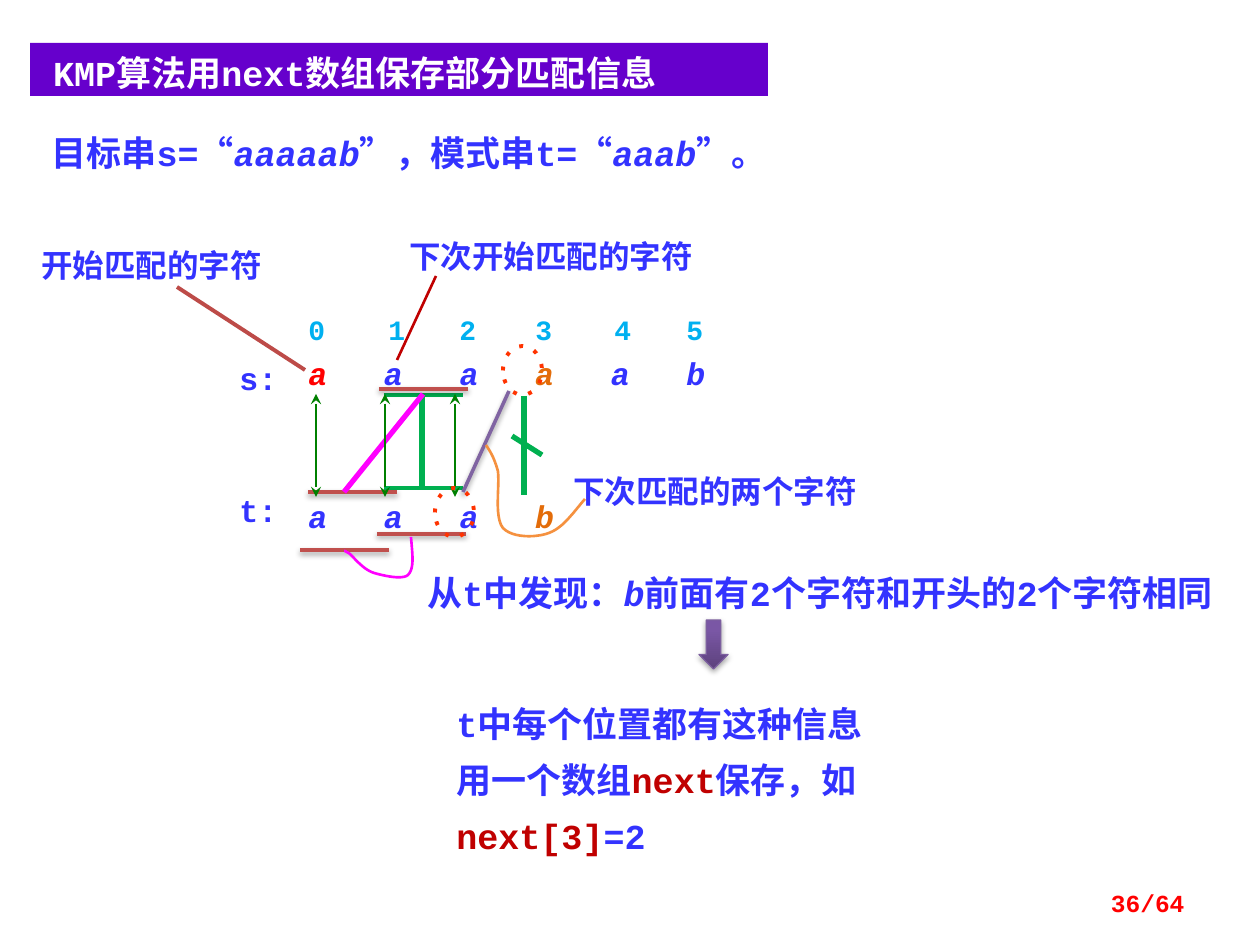
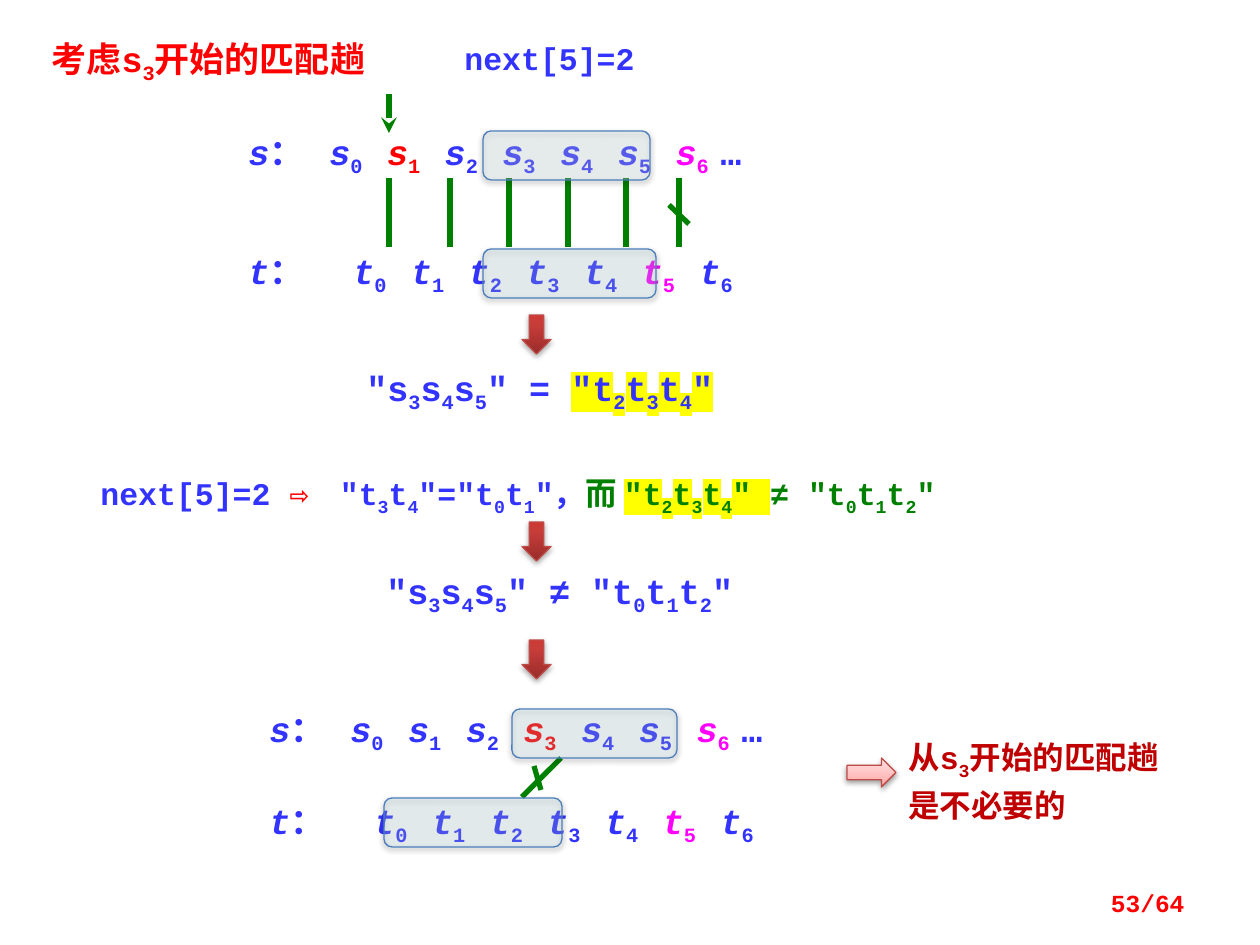
from lxml.etree import SubElement
from pptx import Presentation
from pptx.dml.color import RGBColor
from pptx.enum.shapes import MSO_CONNECTOR, MSO_SHAPE
from pptx.enum.text import MSO_ANCHOR, PP_ALIGN
from pptx.oxml.ns import qn
from pptx.util import Pt

PX = 914400 / 126
MONO, CJK = "Courier New", "Noto Sans CJK SC"
C = dict(blue="3333FF", red="FF0000", dark="C00000", green="008000", lime="00B050",
         magenta="FF00FF", orange="E36C09", curve="F5913F", sky="00B0F0", white="FFFFFF",
         band="6600CC", brick="C0504D", rust="BD4B48", violet="8064A2", plum="7C5F9F",
         dots="FF3300", edge="4A7DBA", ice="DAEEF3", aqua="B6DDE7", yellow="FFFF00")
I = {"italic": True}
QUOTE = {"name": CJK}
STEALTH = {"type": "stealth"}
PURPLES = [(0, "5D427D"), (80, "7A57A5"), (100, "7A56A7")]
REDS = [(0, "992D2B"), (80, "C93D39"), (100, "CD3A36")]
PINKS = [(0, "FFA09D"), (35, "FFBCBC"), (100, "FFE2E2")]


def text(s, box, paragraphs, size=20, lead=1.22, tabs=(), font=MONO, align=PP_ALIGN.LEFT, band=None):
    """Add text at box (px); a run is (text, colour, format), and "_" lowers the next character."""
    box = [round(v * PX) for v in box]
    if band:
        sp = s.shapes.add_shape(MSO_SHAPE.RECTANGLE, *box)
        sp.shadow.inherit = False
        sp.fill.solid()
        sp.fill.fore_color.rgb = RGBColor.from_string(C[band])
        sp.line.fill.background()
    else:
        sp = s.shapes.add_textbox(*box)
    tf = sp.text_frame
    tf.word_wrap = True
    tf.vertical_anchor = MSO_ANCHOR.TOP
    if band:
        tf.margin_left = tf.margin_right = round(23 * PX)
        tf.margin_top = round(8 * PX)
    for n, runs in enumerate(paragraphs):
        p = tf.add_paragraph() if n else tf.paragraphs[0]
        if tabs:
            tab_list = SubElement(p._p.get_or_add_pPr(), qn("a:tabLst"))
            for x in tabs:
                SubElement(tab_list, qn("a:tab"), pos=str(round(x * PX)), algn="l")
        p.alignment = align
        p.line_spacing = Pt(round(size * lead, 1))
        for words, color, *fmt in runs:
            fmt = dict(fmt[0]) if fmt else {}
            mark = fmt.pop("mark", None)
            first, *rest = words.split("_")
            pieces = [(first, False)]
            for part in rest:
                pieces += [(part[0], True), (part[1:], False)]
            for piece, lowered in pieces:
                if not piece:
                    continue
                r = p.add_run()
                r.text = piece
                rPr = r._r.get_or_add_rPr()
                r.font.color.rgb = RGBColor.from_string(C[color])
                if mark:
                    SubElement(SubElement(rPr, qn("a:highlight")), qn("a:srgbClr"), val=C[mark])
                values = {"size": Pt(size), "bold": True, "name": font, **fmt}
                if lowered:
                    rPr.set("baseline", "-25000")
                    values["italic"] = False
                for key, value in values.items():
                    setattr(r.font, key, value)
                SubElement(rPr, qn("a:ea"), typeface=CJK)


def style(sp, color, width, fill=None, alpha=None, shadow=0, **line_parts):
    """Style a shape or line; fill is a colour name or gradient stops, shadow an opacity in percent."""
    spPr = sp._element.spPr
    if isinstance(fill, list):
        sp.fill.gradient()
        sp.fill.gradient_angle = 90
        stops = spPr.find(qn("a:gradFill")).find(qn("a:gsLst"))
        for gs in list(stops):
            stops.remove(gs)
        for pos, value in fill:
            gs = SubElement(stops, qn("a:gs"), pos=str(pos * 1000))
            SubElement(gs, qn("a:srgbClr"), val=value)
    elif fill:
        sp.fill.solid()
        sp.fill.fore_color.rgb = RGBColor.from_string(C[fill])
        clr = spPr.find(qn("a:solidFill"))[0]
        SubElement(clr, qn("a:alpha"), val=str(alpha * 1000))
    elif hasattr(sp, "fill"):
        sp.fill.background()
    sp.line.color.rgb = RGBColor.from_string(C[color])
    sp.line.width = Pt(width)
    for tag, attrs in line_parts.items():
        SubElement(spPr.find(qn("a:ln")), qn("a:" + tag), **attrs)
    effects = SubElement(spPr, qn("a:effectLst"))
    if shadow:
        cast = SubElement(effects, qn("a:outerShdw"), blurRad="40000", dist="20000",
                          dir="5400000", rotWithShape="0")
        clr = SubElement(cast, qn("a:srgbClr"), val="000000")
        SubElement(clr, qn("a:alpha"), val=str(shadow * 1000))


prs = Presentation()
prs.slide_width, prs.slide_height = round(1260 * PX), round(945 * PX)
match, skip = [prs.slides.add_slide(prs.slide_layouts[6]) for _ in range(2)]
for s, number in ((match, "36/64"), (skip, "53/64")):
    text(s, (903, 881, 294, 50), [[(number, "red")]], 14, align=PP_ALIGN.RIGHT)

# Slide 1: partial match kept in next
text(match, (30, 43, 738, 53), [[("KMP算法用next数组保存部分匹配信息", "white")]], band="band")
text(match, (39, 125, 718, 100), [[
    ("目标串s=", "blue"), ("“", "blue", QUOTE), ("aaaaab", "blue", I), ("”", "blue", QUOTE),
    ("，模式串t=", "blue"), ("“", "blue", QUOTE), ("aaab", "blue", I), ("”", "blue", QUOTE),
    ("。", "blue")]])
for x, y, w, label, font in ((29, 239, 295, "开始匹配的字符", CJK),
                             (397, 230, 354, "下次开始匹配的字符", CJK),
                             (561, 465, 354, "下次匹配的两个字符", "Arial")):
    text(match, (x, y, w, 50), [[(label, "blue")]], 18, font=font)

text(match, (296, 306, 452, 50), [[("\t".join("012345"), "sky")]], 16, tabs=(80, 151, 227, 306, 378))
columns = [75.6 * k for k in range(1, 6)]
for name, y_name, y, letters in (
        ("s:", 352, 347, [("a", "red", I), ("\ta\ta\t", "blue", I), ("a", "orange", I), ("\ta\tb", "blue", I)]),
        ("t:", 484, 490, [("a\ta\ta\t", "blue", I), ("b", "orange", I)])):
    text(match, (227, y_name, 69, 50), [[(name, "blue")]], 18)
    text(match, (296, y, 452, 50), [letters], 18, tabs=columns)

text(match, (415, 565, 816, 100), [[
    ("从t中发现：", "blue"), ("b", "blue", I), ("前面有2个字符和开头的2个字符相同", "blue")]])
text(match, (444, 682, 601, 190), [
    [("t中每个位置都有这种信息", "blue")],
    [("用一个数组", "blue"), ("next", "dark"), ("保存，如", "blue"),
     ("next[3]", "dark"), ("=2", "blue")]], lead=1.6)

both_ends = {"headEnd": STEALTH, "tailEnd": STEALTH}
cast = {"shadow": 38}
match_lines = [
    (384, 488, 463, 488, "lime", 2.25, {}), (384, 395, 463, 395, "lime", 2.25, {}),
    (422, 397, 422, 487, "lime", 3, {}),
    (308, 492, 397, 492, "brick", 2, cast), (379, 389, 468, 389, "brick", 2, cast),
    (423, 394, 344, 492, "magenta", 3, {}),
    (377, 534, 466, 534, "brick", 2, cast), (300, 550, 389, 550, "brick", 2, cast),
    (524, 396, 524, 495, "lime", 3, {}), (512, 436, 542, 455, "lime", 3, {}),
    (509, 391, 463, 492, "violet", 2, cast),
    (177, 287, 305, 370, "rust", 2.25, {}), (436, 276, 397, 360, "dark", 1.5, {}),
    *[(x, 394, x, 497, "green", 1.5, both_ends) for x in (316, 385, 455)]]

# Slide 2: a pass that can be skipped
text(skip, (39, 36, 374, 55), [[("考虑s_3开始的匹配趟", "red")]])
text(skip, (452, 32, 207, 50), [[("next[5]=2", "blue")]], 18)
for letter, x, y, start, colors in (("s", 236, 129, 81, {1: "red", 6: "magenta"}),
                                    ("t", 236, 248, 105, {5: "magenta"}),
                                    ("s", 257, 706, 81, {3: "red", 6: "magenta"}),
                                    ("t", 257, 798, 105, {5: "magenta"})):
    runs = [(letter, "blue", I), ("：", "blue")]
    runs += [(f"\t{letter}_{k}", colors.get(k, "blue"), I) for k in range(7)]
    if letter == "s":
        runs.append(("\t…", "blue"))
    stops = [start + 57.7 * k for k in range(7)] + [472]
    text(skip, (x, y, 591, 55), [runs], tabs=stops[:len(runs) - 2])

MARK = {"mark": "yellow"}
text(skip, (354, 365, 374, 55), [[('"s_3s_4s_5" = ', "blue"), ('"t_2t_3t_4"', "blue", MARK)]])
text(skip, (88, 451, 925, 70), [[
    ("next[5]=2 ", "blue"), ("⇨", "red"), (' "t_3t_4"="t_0t_1"，', "blue"), ("而 ", "green"),
    ('"t_2t_3t_4" ', "green", MARK), ('≠ "t_0t_1t_2"', "green")]], 18, lead=1.9)
text(skip, (374, 568, 384, 55), [[('"s_3s_4s_5" ≠ "t_0t_1t_2"', "blue")]])
text(skip, (896, 732, 305, 95), [[("从s_3开始的匹配趟是不必要的", "dark")]], 18, lead=1.36)

skip_lines = [
    *[(x, 178, x, 247, "green", 3, {}) for x in (389, 450, 509, 568, 626, 679)],
    (669, 205, 689, 224, "green", 3, {}),
    (389, 94, 389, 133, "green", 3, {"tailEnd": STEALTH}),
    (561, 758, 522, 797, "green", 3, {}), (534, 766, 541, 790, "green", 3, {})]

# Lines and shapes of both slides
for s, lines in ((match, match_lines), (skip, skip_lines)):
    for *ends, color, width, extra in lines:
        line = s.shapes.add_connector(MSO_CONNECTOR.STRAIGHT, *[round(v * PX) for v in ends])
        style(line, color, width, **extra)

DOWN, RIGHT, OVAL, ROUND = (MSO_SHAPE.DOWN_ARROW, MSO_SHAPE.RIGHT_ARROW,
                            MSO_SHAPE.OVAL, MSO_SHAPE.ROUNDED_RECTANGLE)
dotted = {"prstDash": {"val": "dot"}}
shapes = [
    *[(match, OVAL, (x, y, 39, 49), "dots", 2.25, dotted) for x, y in ((503, 346), (435, 488))],
    (match, DOWN, (699, 620, 29, 49), "plum", 0.75, {"fill": PURPLES, "shadow": 35}),
    *[(skip, ROUND, (x, y, w, 49), "edge", 0.75, {"fill": fill, "alpha": alpha, "shadow": 38})
      for x, y, w, fill, alpha in ((483, 131, 167, "ice", 23), (483, 249, 173, "aqua", 20),
                                   (512, 709, 165, "aqua", 20), (384, 798, 178, "aqua", 20))],
    *[(skip, DOWN, (522, y, 29, 39), "rust", 0.75, {"fill": REDS, "shadow": 35})
      for y in (315, 522, 640)],
    (skip, RIGHT, (847, 758, 49, 29), "rust", 0.75, {"fill": PINKS, "shadow": 38})]
for s, kind, box, color, width, extra in shapes:
    style(s.shapes.add_shape(kind, *[round(v * PX) for v in box]), color, width, **extra)

# Curved links as chains of cubic segments
curves = [
    ("magenta", [(344, 551), (345, 551), (345, 551), (350, 554), (355, 559), (364, 570), (374, 573),
                 (384, 576), (403, 580), (408, 575), (415, 568), (412, 552), (411, 537)]),
    ("curve", [(486, 445), (490, 451), (494, 457), (498, 471), (500, 485), (494, 517), (503, 528),
               (512, 538), (536, 538), (549, 533), (563, 528), (573, 513), (585, 499)])]
for color, knots in curves:
    points = []
    for k in range(0, len(knots) - 1, 3):
        for step in range(1, 13):
            t = step / 12
            weights = ((1 - t) ** 3, 3 * t * (1 - t) ** 2, 3 * t * t * (1 - t), t ** 3)
            points.append([round(PX * sum(w * q[axis] for w, q in zip(weights, knots[k:k + 4])))
                           for axis in (0, 1)])
    builder = match.shapes.build_freeform(*[round(v * PX) for v in knots[0]])
    builder.add_line_segments(points, close=False)
    style(builder.convert_to_shape(), color, 1.5)

prs.save("out.pptx")
